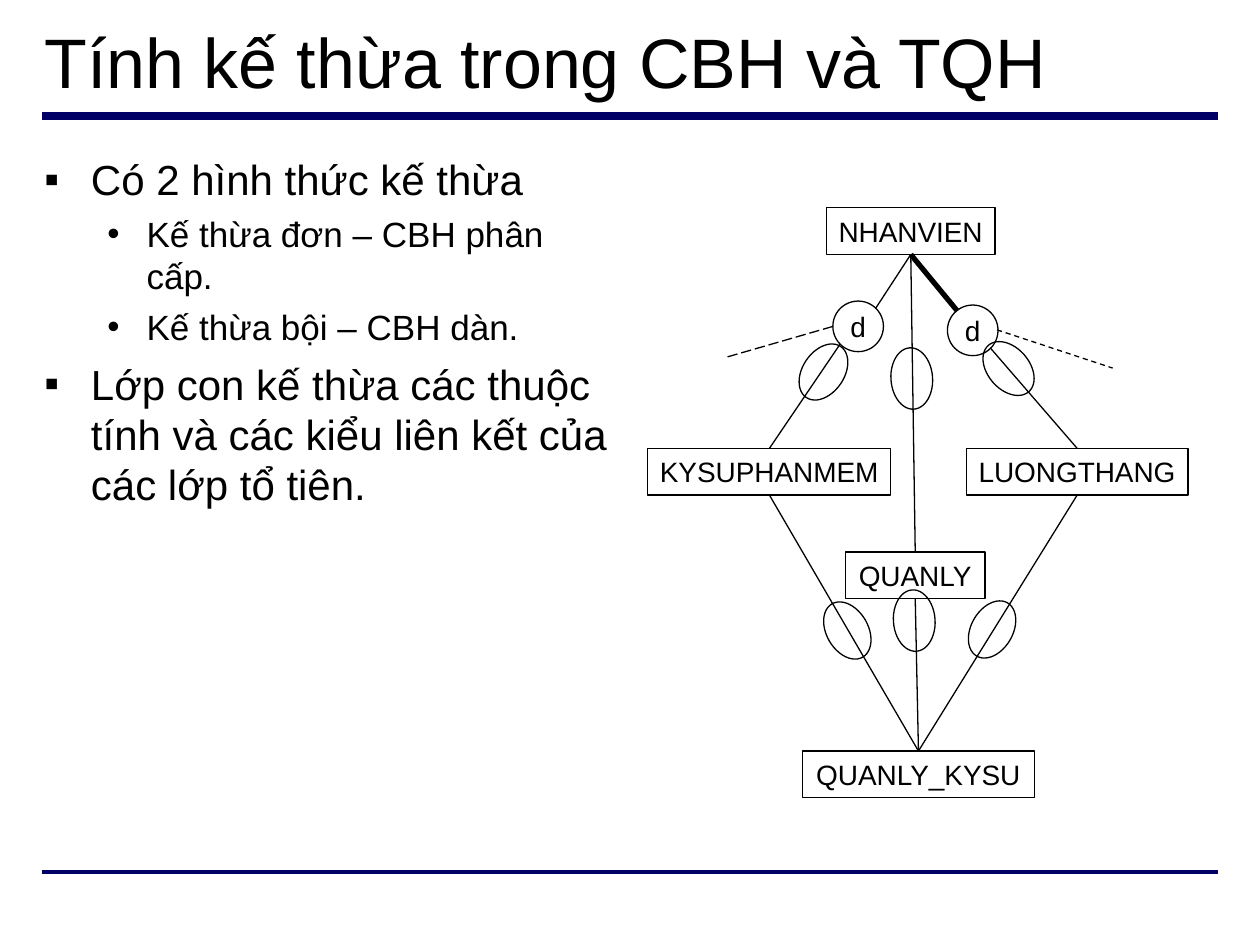
"""Build a slide on inheritance in specialisation and generalisation."""
from lxml.etree import SubElement
from pptx import Presentation
from pptx.dml.color import RGBColor
from pptx.enum.dml import MSO_LINE as Dash
from pptx.enum.shapes import MSO_CONNECTOR as Link, MSO_SHAPE as Form
from pptx.enum.text import MSO_ANCHOR as Anchor, MSO_AUTO_SIZE as Auto, PP_ALIGN as Align
from pptx.oxml.ns import qn
from pptx.util import Cm, Pt

FONT, BLACK, NAVY = "Arial", "000000", "000066"
TITLE = "Tính kế thừa trong CBH và TQH"
POINTS = [
    (0, "Có 2 hình thức kế thừa"),
    (1, "Kế thừa đơn – CBH phân cấp."),
    (1, "Kế thừa bội – CBH dàn."),
    (0, "Lớp con kế thừa các thuộc tính và các kiểu liên kết của các lớp tổ tiên."),
]
LEVELS = [
    {"size": 24, "mark": "▪", "left": 0.94, "hang": 0.94, "gap": 6},
    {"size": 20, "mark": "•", "left": 2.06, "hang": 0.79, "gap": 5},
]
RULES = [(2.34, 4.5), (17.58, 2.25)]
TALL = 0.94
BOXES = {
    "NHANVIEN": (16.66, 4.19, 3.4),
    "KYSUPHANMEM": (13.06, 9.04, 4.9),
    "LUONGTHANG": (19.48, 9.04, 4.47),
    "QUANLY": (17.04, 11.13, 2.82),
    "QUANLY_KYSU": (16.18, 15.14, 4.67),
}
DISCS = [(16.79, 6.07), (19.1, 6.15)]
LOOPS = [
    (16.18, 6.88, 34), (17.96, 7.01, 176), (19.91, 6.81, 139),
    (16.66, 12.09, 150), (18.01, 11.89, 176), (19.58, 12.07, 30),
]
LINKS = [
    ("NHANVIEN", (17.65, 6.22), 0.75, None),
    ("NHANVIEN", (19.3, 6.27), 3, None),
    ("NHANVIEN", "QUANLY", 0.75, None),
    ((16.94, 6.93), "KYSUPHANMEM", 0.75, None),
    ((19.96, 7.01), "LUONGTHANG", 0.75, None),
    ("KYSUPHANMEM", "QUANLY_KYSU", 0.75, None),
    ("QUANLY", "QUANLY_KYSU", 0.75, None),
    ("LUONGTHANG", "QUANLY_KYSU", 0.75, None),
    ((16.79, 6.58), (14.61, 7.21), 0.75, Dash.LONG_DASH),
    ((20.1, 6.65), (22.43, 7.42), 0.75, Dash.DASH),
]


def ink(part, color):
    part.rgb = RGBColor.from_string(color)


def write(para, text, size):
    run = para.add_run()
    run.text = text
    run.font.name, run.font.size = FONT, Pt(size)
    ink(run.font.color, BLACK)


def place(holder, left, top, wide, high, anchor):
    holder.left, holder.top, holder.width, holder.height = map(Cm, (left, top, wide, high))
    frame = holder.text_frame
    frame.auto_size, frame.vertical_anchor = Auto.NONE, anchor
    return frame


def bullet(para, style):
    props = para._p.get_or_add_pPr()
    props.set("marL", str(Cm(style["left"])))
    props.set("indent", str(-Cm(style["hang"])))
    SubElement(SubElement(props, qn("a:buClr")), qn("a:srgbClr"), val=BLACK)
    SubElement(props, qn("a:buFont"), typeface=FONT)
    SubElement(props, qn("a:buChar"), char=style["mark"])


def shape(form, left, top, wide, high, text="", turn=0):
    item = slide.shapes.add_shape(form, *map(Cm, (left, top, wide, high)))
    item.shadow.inherit = False
    item.fill.background()
    item.line.width, item.rotation = Pt(0.75), turn
    ink(item.line.color, BLACK)
    if text:
        frame = item.text_frame
        frame.word_wrap, frame.vertical_anchor = False, Anchor.MIDDLE
        para = frame.paragraphs[0]
        para.alignment = Align.CENTER
        write(para, text, 16)
    return item


def line(start, end, width, color=BLACK, dash=None):
    item = slide.shapes.add_connector(Link.STRAIGHT, *map(Cm, start + end))
    item.line.width = Pt(width)
    ink(item.line.color, color)
    if dash is not None:
        item.line.dash_style = dash
    SubElement(item._element.spPr, qn("a:effectLst"))
    return item


def site(name, side):
    left, top, wide = BOXES[name]
    return left + wide / 2, top + (TALL if side == 2 else 0)


def join(start, end, width, dash):
    first = site(start, 2) if start in BOXES else start
    last = site(end, 0) if end in BOXES else end
    item = line(first, last, width, dash=dash)
    if start in BOXES:
        item.begin_connect(nodes[start], 2)
    if end in BOXES:
        item.end_connect(nodes[end], 0)


deck = Presentation()
deck.slide_width, deck.slide_height = Cm(25.4), Cm(19.05)
slide = deck.slides.add_slide(deck.slide_layouts[1])

for y, width in RULES:
    line((0.84, y), (24.56, y), width, NAVY)

head = place(slide.shapes.title, 0.64, 0.23, 24.13, 1.96, Anchor.MIDDLE)
head.paragraphs[0].alignment = Align.LEFT
write(head.paragraphs[0], TITLE, 40)

body = place(slide.placeholders[1], 0.64, 2.97, 11.86, 14.07, Anchor.TOP)
for i, (level, text) in enumerate(POINTS):
    para = body.add_paragraph() if i else body.paragraphs[0]
    style = LEVELS[level]
    para.level = level
    bullet(para, style)
    para.space_before = Pt(style["gap"] if i else 0)
    write(para, text, style["size"])

nodes = {name: shape(Form.RECTANGLE, *spot, TALL, name) for name, spot in BOXES.items()}
for spot in DISCS:
    shape(Form.OVAL, *spot, 1.02, 1.02, "d")
for left, top, turn in LOOPS:
    shape(Form.OVAL, left, top, 0.84, 1.24, turn=turn)
for link in LINKS:
    join(*link)

deck.save("out.pptx")
